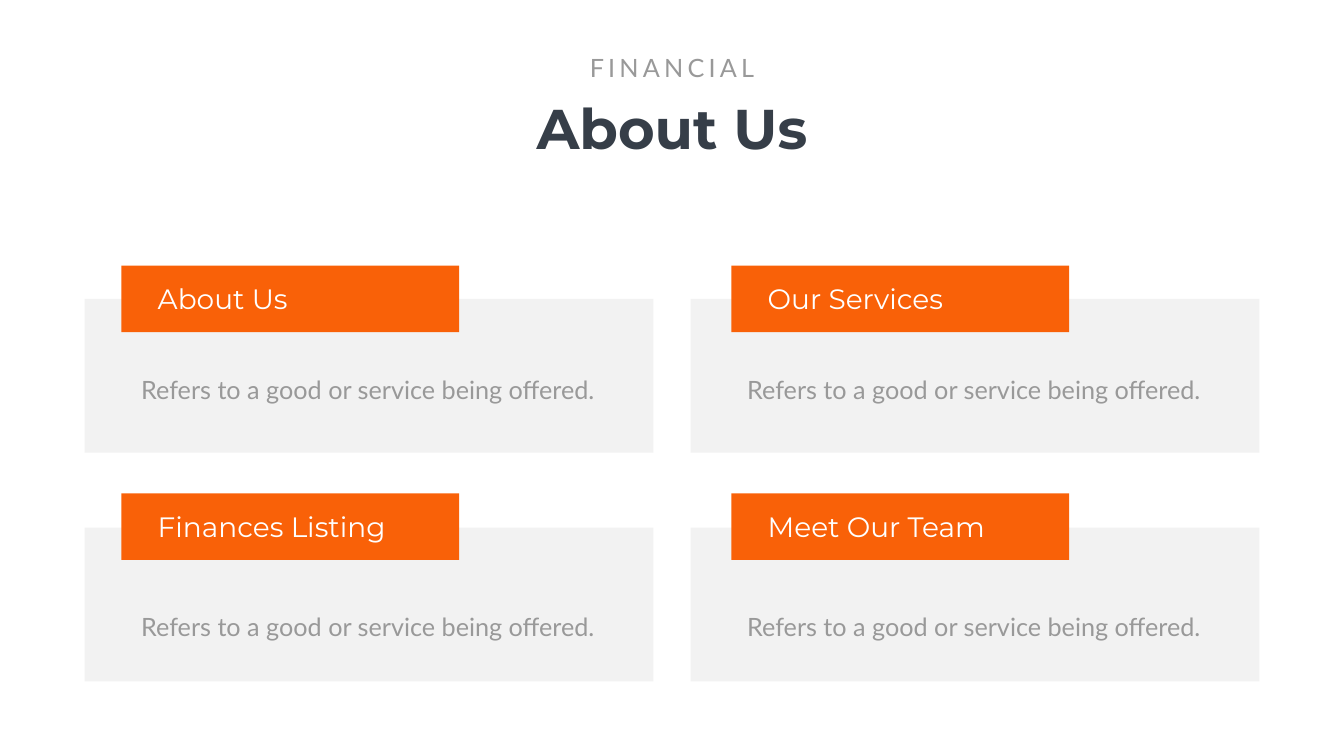
import pptx
import pptx.util
import pptx.dml.color
import pptx.enum.shapes
import pptx.enum.text
import pptx.oxml.ns
import lxml.etree

Inches, Pt = pptx.util.Inches, pptx.util.Pt
ALIGN = pptx.enum.text.PP_ALIGN

# Content
BODY = "Refers to a good or service being offered."
CARDS = [
    ["About Us", "Our Services"],
    ["Finances Listing", "Meet Our Team"],
]

# Layout, in inches
COLUMNS = [{"panel": 1.68, "tag": 2.41}, {"panel": 13.7, "tag": 14.51}]
ROWS = [
    {"panel": 5.93, "tag": 5.27, "label": 5.54, "body": 7.3},
    {"panel": 10.47, "tag": 9.79, "label": 10.07, "body": 12},
]

# Style
COLORS = {"panel": "808080", "tag": "F96108", "white": "FFFFFF",
          "dark": "363E48", "grey": "999999"}
FORMATS = {
    "title": ({"name": "Montserrat", "size": Pt(80), "bold": True}, "dark", ALIGN.CENTER),
    "kicker": ({"name": "Lato", "size": Pt(36)}, "grey", ALIGN.CENTER),
    "label": ({"name": "Montserrat", "size": Pt(40)}, "white", ALIGN.LEFT),
    "body": ({"name": "Lato", "size": Pt(36)}, "grey", ALIGN.LEFT),
}


def rgb(name):
    return pptx.dml.color.RGBColor.from_string(COLORS[name])


def add_rect(shapes, box, color, opacity=None):
    sp = shapes.add_shape(pptx.enum.shapes.MSO_SHAPE.RECTANGLE, *map(Inches, box))
    sp.shadow.inherit = False
    sp.line.fill.background()
    sp.fill.solid()
    sp.fill.fore_color.rgb = rgb(color)
    if opacity is not None:
        clr = sp.fill._xPr.find(".//" + pptx.oxml.ns.qn("a:srgbClr"))
        alpha = lxml.etree.SubElement(clr, pptx.oxml.ns.qn("a:alpha"))
        alpha.set("val", str(opacity * 1000))


def add_text(shapes, box, text, style, inset=(0.1, 0.05), spacing=None):
    font, color, align = FORMATS[style]
    tf = shapes.add_textbox(*map(Inches, box)).text_frame
    tf.word_wrap = True
    tf.auto_size = pptx.enum.text.MSO_AUTO_SIZE.SHAPE_TO_FIT_TEXT
    tf.margin_left = tf.margin_right = Inches(inset[0])
    tf.margin_top = tf.margin_bottom = Inches(inset[1])
    p = tf.paragraphs[0]
    p.alignment = align
    r = p.add_run()
    r.text = text
    for key, value in font.items():
        setattr(r.font, key, value)
    r.font.color.rgb = rgb(color)
    if spacing:
        r._r.get_or_add_rPr().set("spc", str(spacing * 100))


prs = pptx.Presentation()
prs.slide_width, prs.slide_height = Inches(26.66), Inches(15)
s = prs.slides.add_slide(prs.slide_layouts[6])

# Cards: panel, tag with label, body text
for row, labels in zip(ROWS, CARDS):
    for col, label in zip(COLUMNS, labels):
        add_rect(s.shapes, (col["panel"], row["panel"], 11.28, 3.05), "panel", 10)
        tag = s.shapes.add_group_shape()
        add_rect(tag.shapes, (col["tag"], row["tag"], 6.7, 1.32), "tag")
        add_text(tag.shapes, (col["tag"] + 0.62, row["label"], 4.92, 0.77), label, "label")
        add_text(s.shapes, (col["panel"] + 0.88, row["body"], 9.52, 0.85), BODY, "body",
                 inset=(0.24, 0.12))

# Heading
heading = s.shapes.add_group_shape()
add_text(heading.shapes, (7.25, 1.8, 12.16, 1.45), "About Us", "title")
add_text(heading.shapes, (11.49, 0.99, 3.68, 0.71), "FINANCIAL", "kicker", spacing=6)

prs.save("out.pptx")
